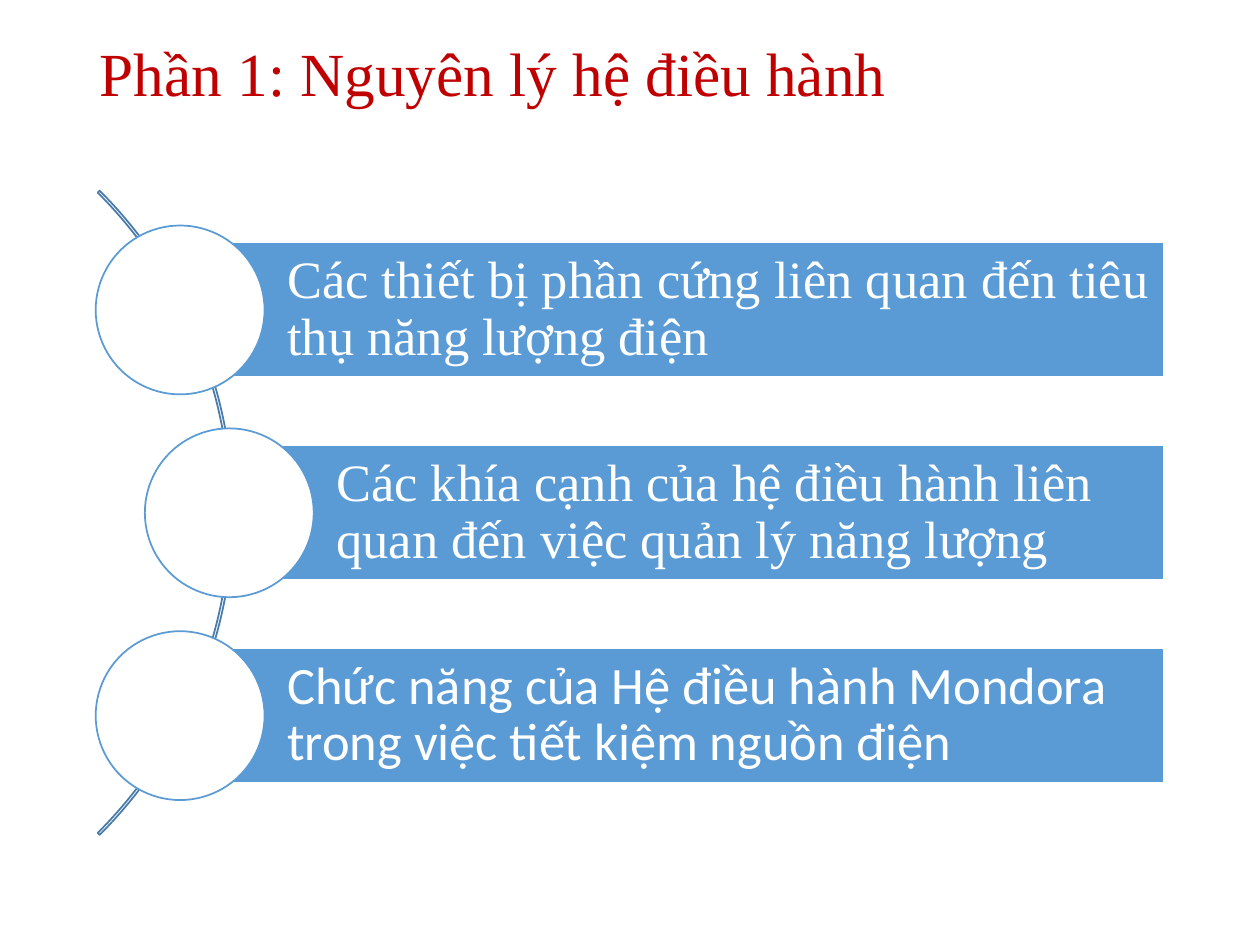
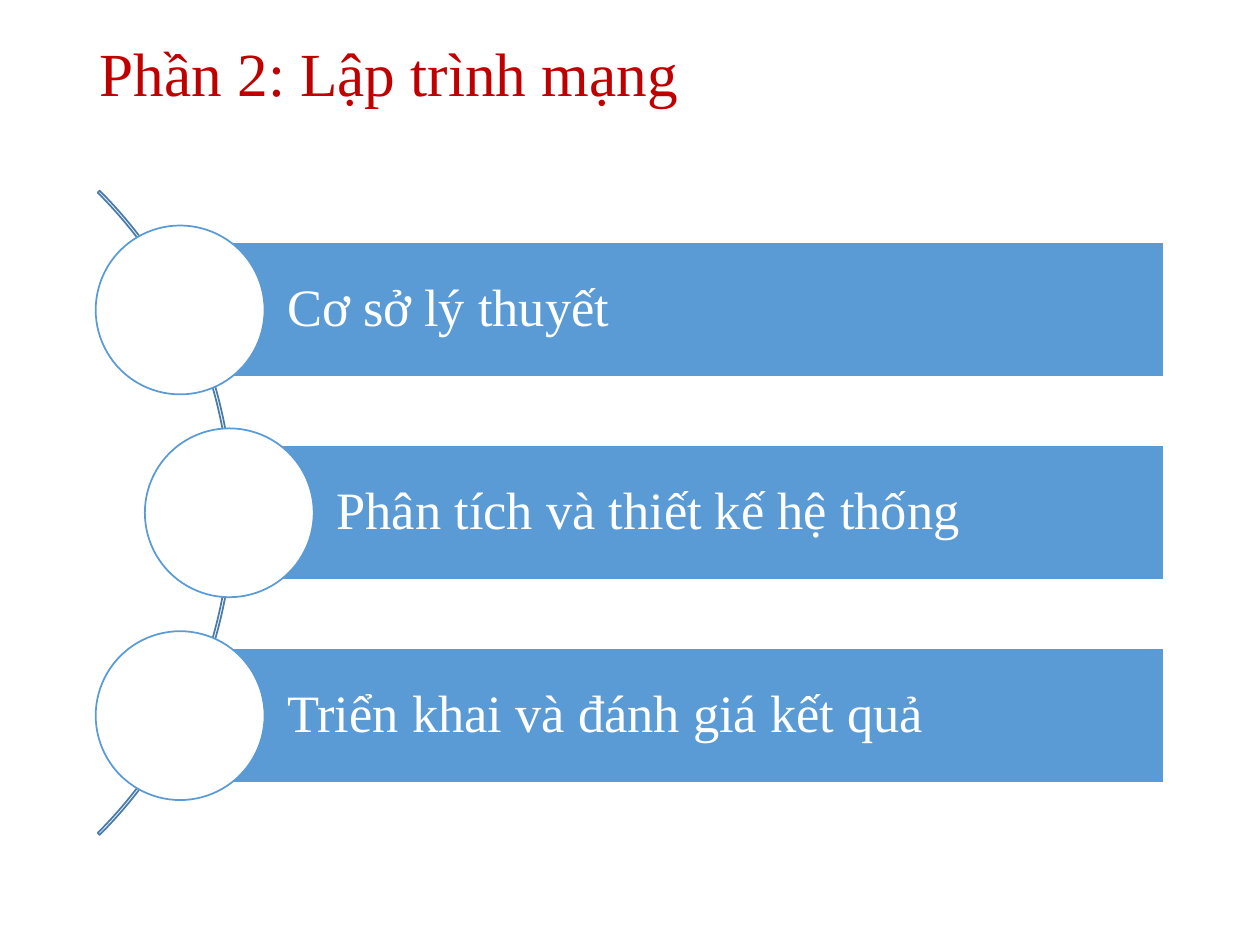
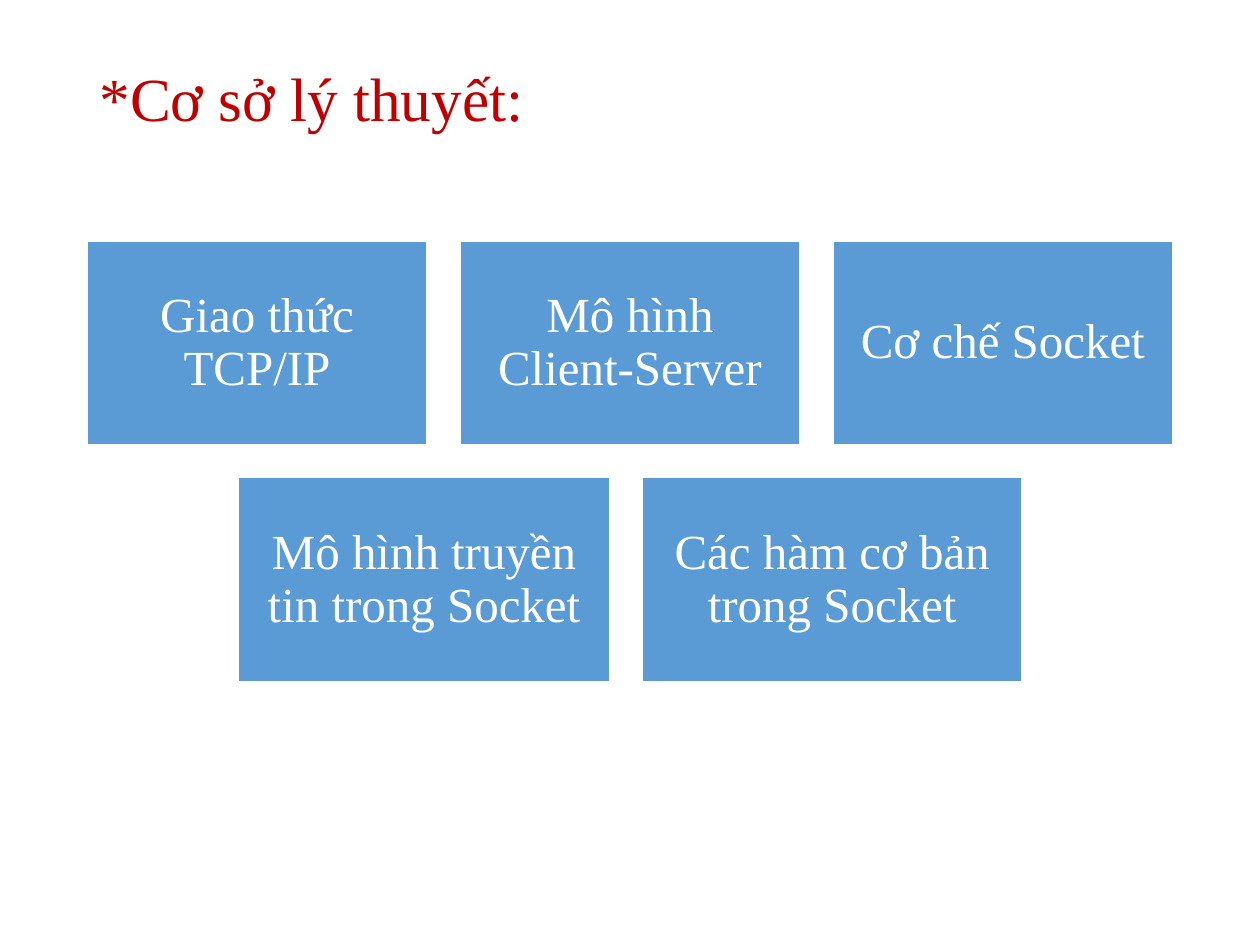
from pptx import Presentation
from pptx.dml.color import RGBColor
from pptx.enum.shapes import MSO_SHAPE
from pptx.enum.text import MSO_ANCHOR, MSO_AUTO_SIZE, PP_ALIGN
from pptx.util import Inches, Pt

SERIF, SANS = "Times New Roman", "Calibri"
RED, BLUE, DARK_BLUE, WHITE = "C00000", "5B9BD5", "497CAB", "FFFFFF"
SLIDE_WIDTH, SLIDE_HEIGHT = 10, 7.5
TITLE_LEFT, TITLE_WIDTH = 0.69, 8.62

BAR_RIGHT, BAR_HEIGHT = 9.24, 1.07
BAR_LEFTS = (1.43, 1.82, 1.43)
FIRST_CENTRE, ROW_STEP = 2.46, 1.61
DISC_SIZE = 1.34
ARC_LEFT, ARC_SIZE = -5.38, 7.23

CARD_TOP, CARD_HEIGHT, CARD_GAP = 1.91, 1.62, 0.26


def colour(hex_string):
    """Turn a hex string into a colour."""
    return RGBColor.from_string(hex_string)


def write(shape, text, size, font, text_colour, align=PP_ALIGN.LEFT):
    """Put one formatted, vertically centred paragraph into a shape."""
    frame = shape.text_frame
    frame.text = text
    frame.word_wrap = True
    frame.auto_size = MSO_AUTO_SIZE.NONE
    frame.vertical_anchor = MSO_ANCHOR.MIDDLE
    para = frame.paragraphs[0]
    para.alignment = align
    para.line_spacing = 0.9
    para.font.size = Pt(size)
    para.font.name = font
    para.font.color.rgb = colour(text_colour)


def set_insets(shape, left, others):
    """Set the text margins of a shape in inches."""
    frame = shape.text_frame
    frame.margin_left = Inches(left)
    frame.margin_top = frame.margin_right = frame.margin_bottom = Inches(others)


def add_figure(page, kind, left, top, width, height, fill, line):
    """Add a preset shape with a thin outline and an optional fill."""
    shape = page.shapes.add_shape(
        kind, Inches(left), Inches(top), Inches(width), Inches(height))
    shape.shadow.inherit = False
    if fill:
        shape.fill.solid()
        shape.fill.fore_color.rgb = colour(fill)
    else:
        shape.fill.background()
    shape.line.color.rgb = colour(line)
    shape.line.width = Pt(1)
    return shape


def add_page(deck, title, top, height):
    """Add a title-only slide with the shared title style."""
    page = deck.slides.add_slide(deck.slide_layouts[5])
    box = page.shapes.title
    box.left, box.top = Inches(TITLE_LEFT), Inches(top)
    box.width, box.height = Inches(TITLE_WIDTH), Inches(height)
    write(box, title, 35, SERIF, RED)
    return page


def add_arc(page):
    """Add the thin arc that links the discs."""
    top = FIRST_CENTRE + ROW_STEP - ARC_SIZE / 2
    arc = add_figure(page, MSO_SHAPE.BLOCK_ARC, ARC_LEFT, top,
                     ARC_SIZE, ARC_SIZE, None, DARK_BLUE)
    for index, value in enumerate((189, 27, 0.003)):
        arc.adjustments[index] = value


def add_agenda(page, items):
    """Add the arc and one bar with a disc for each (text, font) item."""
    add_arc(page)
    for row, (left, (text, font)) in enumerate(zip(BAR_LEFTS, items)):
        centre = FIRST_CENTRE + row * ROW_STEP
        bar = add_figure(page, MSO_SHAPE.RECTANGLE, left, centre - BAR_HEIGHT / 2,
                         BAR_RIGHT - left, BAR_HEIGHT, BLUE, WHITE)
        write(bar, text, 30, font, WHITE)
        set_insets(bar, 0.85, 0.08)
        add_figure(page, MSO_SHAPE.OVAL, left - DISC_SIZE / 2, centre - DISC_SIZE / 2,
                   DISC_SIZE, DISC_SIZE, WHITE, BLUE)


def add_cards(page, rows):
    """Add centred rows of cards given as (text, width) pairs."""
    for row, cards in enumerate(rows):
        top = CARD_TOP + row * (CARD_HEIGHT + CARD_GAP)
        total = sum(width for _, width in cards) + CARD_GAP * (len(cards) - 1)
        left = (SLIDE_WIDTH - total) / 2
        for text, width in cards:
            card = add_figure(page, MSO_SHAPE.RECTANGLE, left, top,
                              width, CARD_HEIGHT, BLUE, WHITE)
            write(card, text, 28, SERIF, WHITE, PP_ALIGN.CENTER)
            set_insets(card, 0.12, 0.12)
            left += width + CARD_GAP


def main():
    """Build the three slides and save the deck."""
    deck = Presentation()
    deck.slide_width, deck.slide_height = Inches(SLIDE_WIDTH), Inches(SLIDE_HEIGHT)

    page = add_page(deck, "Phần 1: Nguyên lý hệ điều hành", 0.23, 0.76)
    add_agenda(page, [
        ("Các thiết bị phần cứng liên quan đến tiêu thụ năng lượng điện", SERIF),
        ("Các khía cạnh của hệ điều hành liên quan đến việc quản lý năng lượng", SERIF),
        ("Chức năng của Hệ điều hành Mondora trong việc tiết kiệm nguồn điện", SANS),
    ])

    page = add_page(deck, "Phần 2: Lập trình mạng", 0.23, 0.76)
    add_agenda(page, [
        ("Cơ sở lý thuyết", SERIF),
        ("Phân tích và thiết kế hệ thống", SERIF),
        ("Triển khai và đánh giá kết quả", SERIF),
    ])

    page = add_page(deck, "*Cơ sở lý thuyết:", 0.27, 1.07)
    add_cards(page, [
        [("Giao thức TCP/IP", 2.7), ("Mô hình Client-Server", 2.7),
         ("Cơ chế Socket", 2.7)],
        [("Mô hình truyền tin trong Socket", 2.95),
         ("Các hàm cơ bản trong Socket", 3.01)],
    ])

    deck.save("out.pptx")


main()
